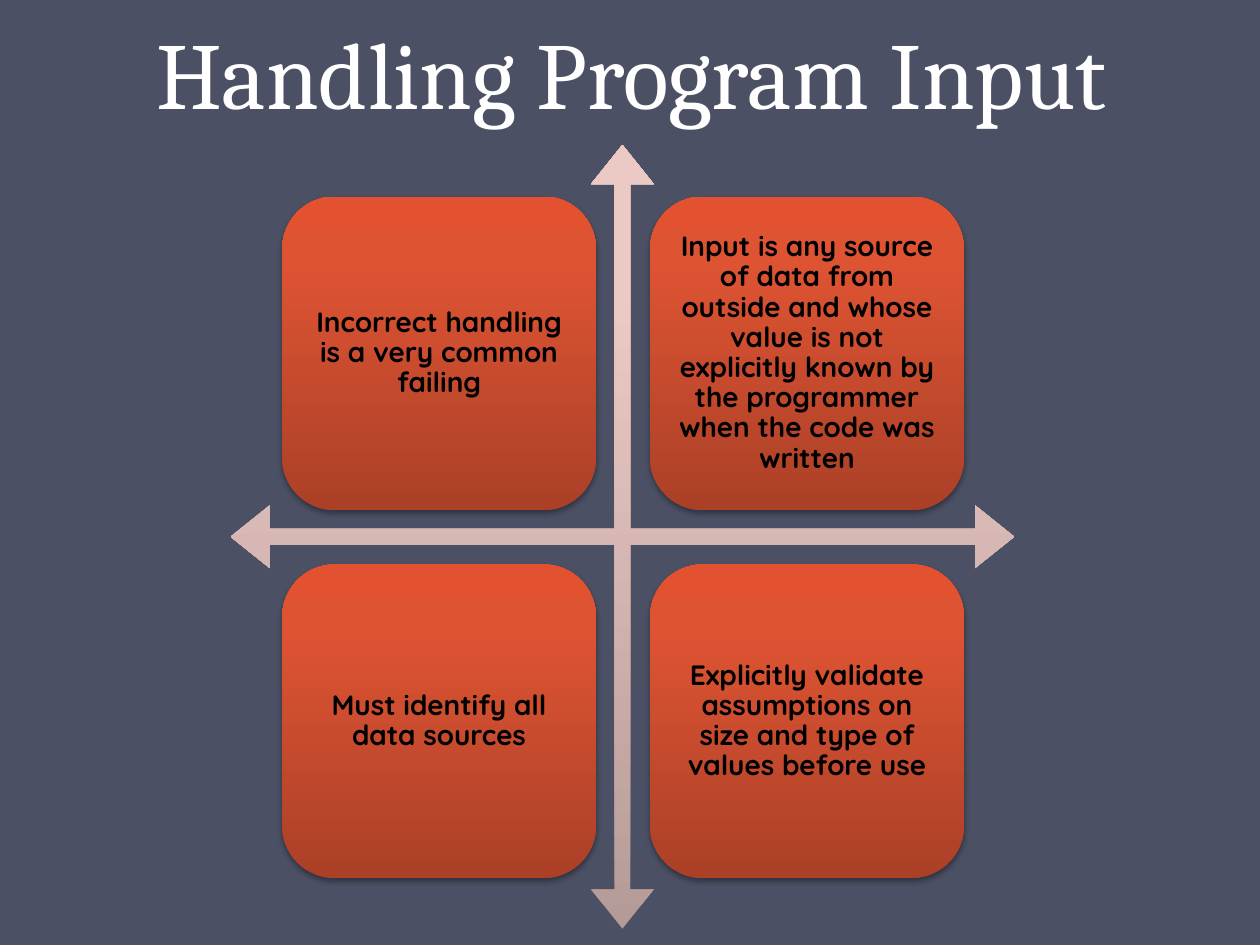
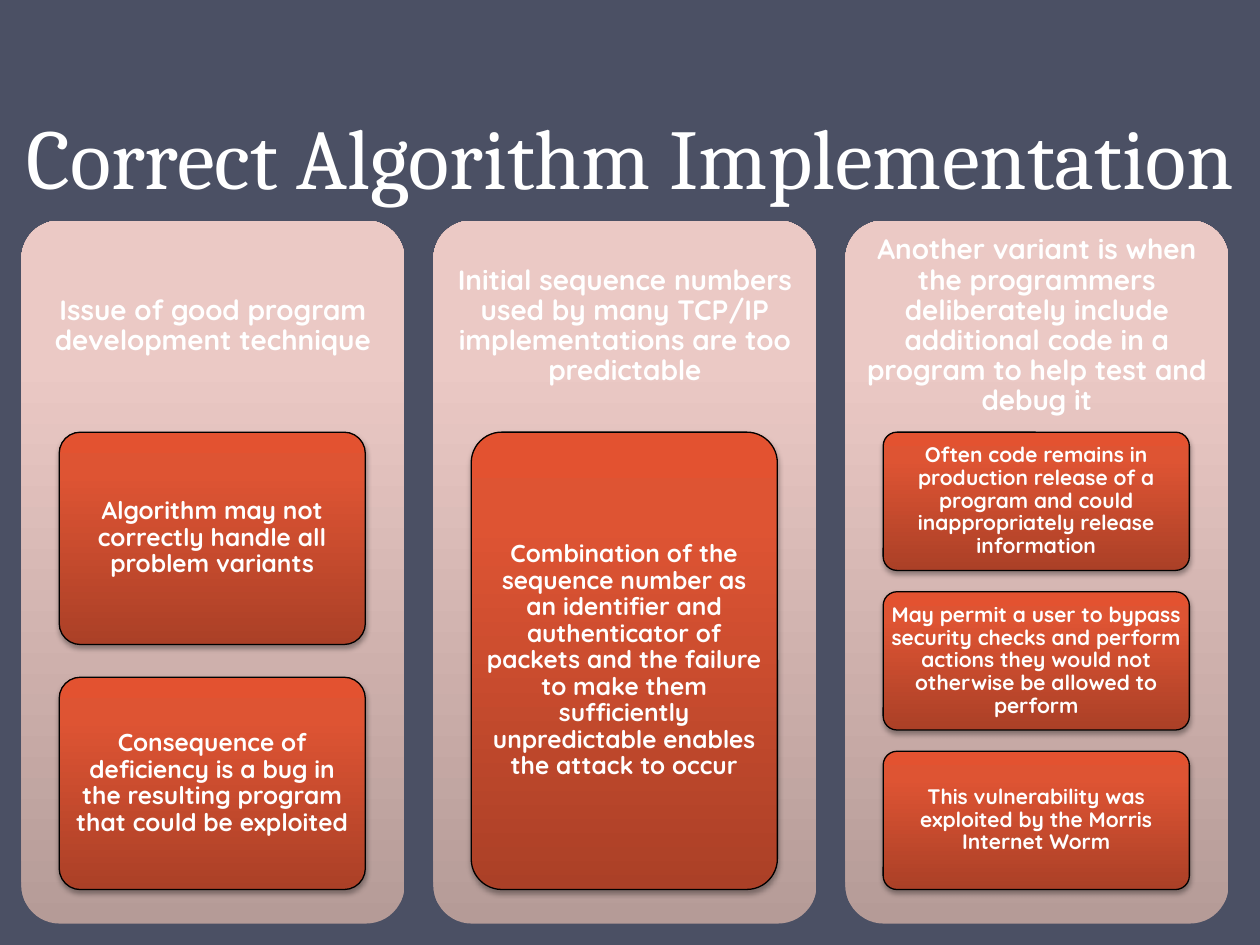
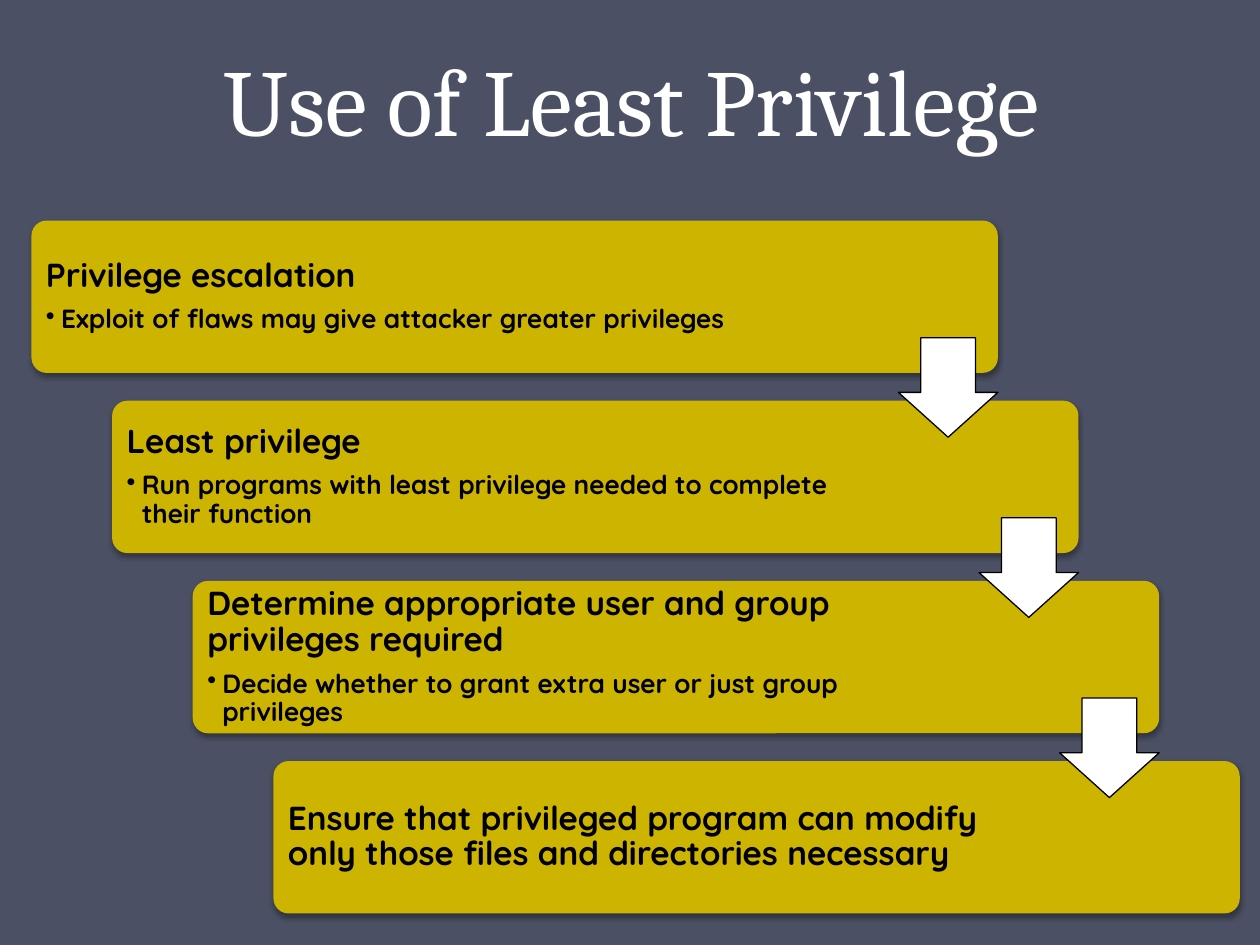
import copy

import pptx
import pptx.dml.color
import pptx.enum.shapes
import pptx.enum.text
import pptx.oxml
import pptx.oxml.ns
import pptx.util

Inches = pptx.util.Inches
Pt = pptx.util.Pt
RGBColor = pptx.dml.color.RGBColor
SHAPE = pptx.enum.shapes.MSO_SHAPE
ALIGN = pptx.enum.text.PP_ALIGN
ANCHOR = pptx.enum.text.MSO_ANCHOR
qn = pptx.oxml.ns.qn

SLATE = RGBColor(0x4B, 0x50, 0x64)
WHITE = RGBColor(0xFF, 0xFF, 0xFF)
BLACK = RGBColor(0, 0, 0)
GOLD = RGBColor(0xCC, 0xB4, 0x00)
# Gradients run from the bottom edge to the top edge.
STOPS = (0, 0.8, 1)
ROSE = (RGBColor(0xB5, 0x9B, 0x97), RGBColor(0xEB, 0xC9, 0xC5), RGBColor(0xED, 0xC9, 0xC5))
BRICK = (RGBColor(0xAB, 0x40, 0x27), RGBColor(0xDE, 0x54, 0x33), RGBColor(0xE3, 0x52, 0x30))
TITLE_FONT, BODY_FONT = "Cambria", "Quicksand"

QUADRANTS = [
    "Incorrect handling is a very common failing",
    "Input is any source of data from outside and whose value is not explicitly known "
    "by the programmer when the code was written",
    "Must identify all data sources",
    "Explicitly validate assumptions on size and type of values before use",
]

# (column heading, card text size, cards)
COLUMNS = [
    ("Issue of good program development technique", 14, [
        "Algorithm may not correctly handle all problem variants",
        "Consequence of deficiency is a bug in the resulting program that could be exploited",
    ]),
    ("Initial sequence numbers used by many TCP/IP implementations are too predictable", 14, [
        "Combination of the sequence number as an identifier and authenticator of packets "
        "and the failure to make them sufficiently unpredictable enables the attack to occur",
    ]),
    ("Another variant is when the programmers deliberately include additional code "
     "in a program to help test and debug it", 12, [
        "Often code remains in production release of a program and could "
        "inappropriately release information",
        "May permit a user to bypass security checks and perform actions they would not "
        "otherwise be allowed to perform",
        "This vulnerability was exploited by the Morris Internet Worm",
    ]),
]

# (heading, bullets)
STEPS = [
    ("Privilege escalation", ["Exploit of flaws may give attacker greater privileges"]),
    ("Least privilege", ["Run programs with least privilege needed to complete their function"]),
    ("Determine appropriate user and group privileges required",
     ["Decide whether to grant extra user or just group privileges"]),
    ("Ensure that privileged program can modify only those files and directories necessary", []),
]


def box(left, top, width, height):
    return Inches(left), Inches(top), Inches(width), Inches(height)


def fill_gradient(shape, colours):
    shape.fill.gradient()
    stop_list = shape._element.spPr.find(qn("a:gradFill")).find(qn("a:gsLst"))
    stop_list.insert(1, copy.deepcopy(stop_list[0]))
    for stop, position, colour in zip(shape.fill.gradient_stops, STOPS, colours):
        stop.position = position
        stop.color.rgb = colour
    shape.fill.gradient_angle = 90


def cast_shadow(shape):
    effects = shape._element.spPr.find(qn("a:effectLst"))
    effects.append(pptx.oxml.parse_xml(
        f'<a:outerShdw {pptx.oxml.ns.nsdecls("a")} blurRad="{Pt(3.1)}" dist="{Pt(1.8)}" '
        'dir="5400000" rotWithShape="0"><a:srgbClr val="000000"><a:alpha val="35000"/>'
        '</a:srgbClr></a:outerShdw>'))


def add_block(slide, preset, place, fill, adjustments=(), outlined=False, shadowed=False):
    """Add a preset shape; fill is one colour or a tuple of gradient colours."""
    shape = slide.shapes.add_shape(preset, *box(*place))
    for index, value in enumerate(adjustments):
        shape.adjustments[index] = value
    if isinstance(fill, RGBColor):
        shape.fill.solid()
        shape.fill.fore_color.rgb = fill
    else:
        fill_gradient(shape, fill)
    if outlined:
        shape.line.color.rgb = BLACK
        shape.line.width = Pt(0.75)
    else:
        shape.line.fill.background()
    shape.shadow.inherit = False
    if shadowed:
        cast_shadow(shape)
    return shape


def set_frame(shape, inset, anchor=ANCHOR.MIDDLE):
    frame = shape.text_frame
    frame.word_wrap = True
    frame.vertical_anchor = anchor
    frame.margin_left = frame.margin_right = Inches(inset)
    frame.margin_top = frame.margin_bottom = Inches(inset)
    return frame


def style_paragraph(paragraph, text, size, colour, align=ALIGN.CENTER, after=0.35):
    """Write body text; after is the space below as a share of the text size."""
    paragraph.text = text
    paragraph.alignment = align
    paragraph.line_spacing = 0.9
    paragraph.space_after = Pt(size * after)
    font = paragraph.font
    font.name, font.size, font.bold = BODY_FONT, Pt(size), True
    font.color.rgb = colour


def add_bullet(frame, text):
    paragraph = frame.add_paragraph()
    paragraph.level = 1
    properties = paragraph._p.get_or_add_pPr()
    properties.set("marL", str(Inches(0.12)))
    properties.set("indent", str(-Inches(0.12)))
    properties.append(pptx.oxml.parse_xml(
        f'<a:buChar {pptx.oxml.ns.nsdecls("a")} char="•"/>'))
    style_paragraph(paragraph, text, 15, BLACK, ALIGN.LEFT, 0.15)


def add_titled_slide(prs, title, place, size=54):
    slide = prs.slides.add_slide(prs.slide_layouts[6])
    heading = slide.shapes.add_textbox(*box(*place)).text_frame
    heading.word_wrap = True
    heading.vertical_anchor = ANCHOR.BOTTOM
    paragraph = heading.paragraphs[0]
    paragraph.text = title
    paragraph.alignment = ALIGN.CENTER
    paragraph.line_spacing = Pt(58)
    font = paragraph.font
    font.name, font.size = TITLE_FONT, Pt(size)
    font.color.rgb = WHITE
    return slide


def build_input_slide(prs):
    slide = add_titled_slide(prs, "Handling Program Input", (0.51, -0.58, 9, 1.65))
    add_block(slide, SHAPE.QUAD_ARROW, (1.83, 1.15, 6.22, 6.22), ROSE, (0.02, 0.04, 0.05))
    side, pitch = 2.49, 2.92
    for index, text in enumerate(QUADRANTS):
        row, column = divmod(index, 2)
        place = (2.24 + column * pitch, 1.56 + row * pitch, side, side)
        tile = add_block(slide, SHAPE.ROUNDED_RECTANGLE, place, BRICK, shadowed=True)
        style_paragraph(set_frame(tile, 0.07).paragraphs[0], text, 16, BLACK)


def build_algorithm_slide(prs):
    slide = add_titled_slide(prs, "Correct Algorithm Implementation", (0, 0.44, 10, 1.25), 48.6)
    top, width, heading_height = 1.75, 3.04, 1.68
    cards_height, gap_share = 3.63, 0.154
    for index, (heading, card_size, cards) in enumerate(COLUMNS):
        left = 0.17 + index * 3.27
        add_block(slide, SHAPE.ROUNDED_RECTANGLE, (left, top, width, 5.58), ROSE, (0.1,))
        label = slide.shapes.add_textbox(*box(left, top, width, heading_height))
        style_paragraph(set_frame(label, 0.07).paragraphs[0], heading, 16, WHITE)

        card_height = cards_height / (len(cards) + gap_share * (len(cards) - 1))
        for row, text in enumerate(cards):
            card_top = top + heading_height + row * card_height * (1 + gap_share)
            card = add_block(slide, SHAPE.ROUNDED_RECTANGLE,
                             (left + 0.3, card_top, 2.43, card_height), BRICK, (0.1,),
                             outlined=True, shadowed=True)
            style_paragraph(set_frame(card, 0.03).paragraphs[0], text, card_size, WHITE)


def build_privilege_slide(prs):
    slide = add_titled_slide(prs, "Use of Least Privilege", (0.51, -0.11, 9, 1.39))
    corners = [(0.25 + 0.64 * index, 1.75 + 1.43 * index) for index in range(len(STEPS))]
    for (left, top), (heading, bullets) in zip(corners, STEPS):
        step = add_block(slide, SHAPE.ROUNDED_RECTANGLE, (left, top, 7.67, 1.21), GOLD, (0.1,),
                         shadowed=True)
        frame = set_frame(step, 0.08)
        frame.margin_right = Inches(1.5)  # keeps the text clear of the arrows
        style_paragraph(frame.paragraphs[0], heading, 19, BLACK, ALIGN.LEFT)
        for bullet in bullets:
            add_bullet(frame, bullet)
    for left, top in corners[:-1]:
        add_block(slide, SHAPE.DOWN_ARROW, (left + 6.88, top + 0.93, 0.79, 0.79), WHITE,
                  (0.55, 0.45), outlined=True)


def main():
    prs = pptx.Presentation()
    prs.slide_width, prs.slide_height = Inches(10), Inches(7.5)
    backdrop = prs.slide_master.background.fill
    backdrop.solid()
    backdrop.fore_color.rgb = SLATE
    build_input_slide(prs)
    build_algorithm_slide(prs)
    build_privilege_slide(prs)
    prs.save("out.pptx")


if __name__ == "__main__":
    main()
